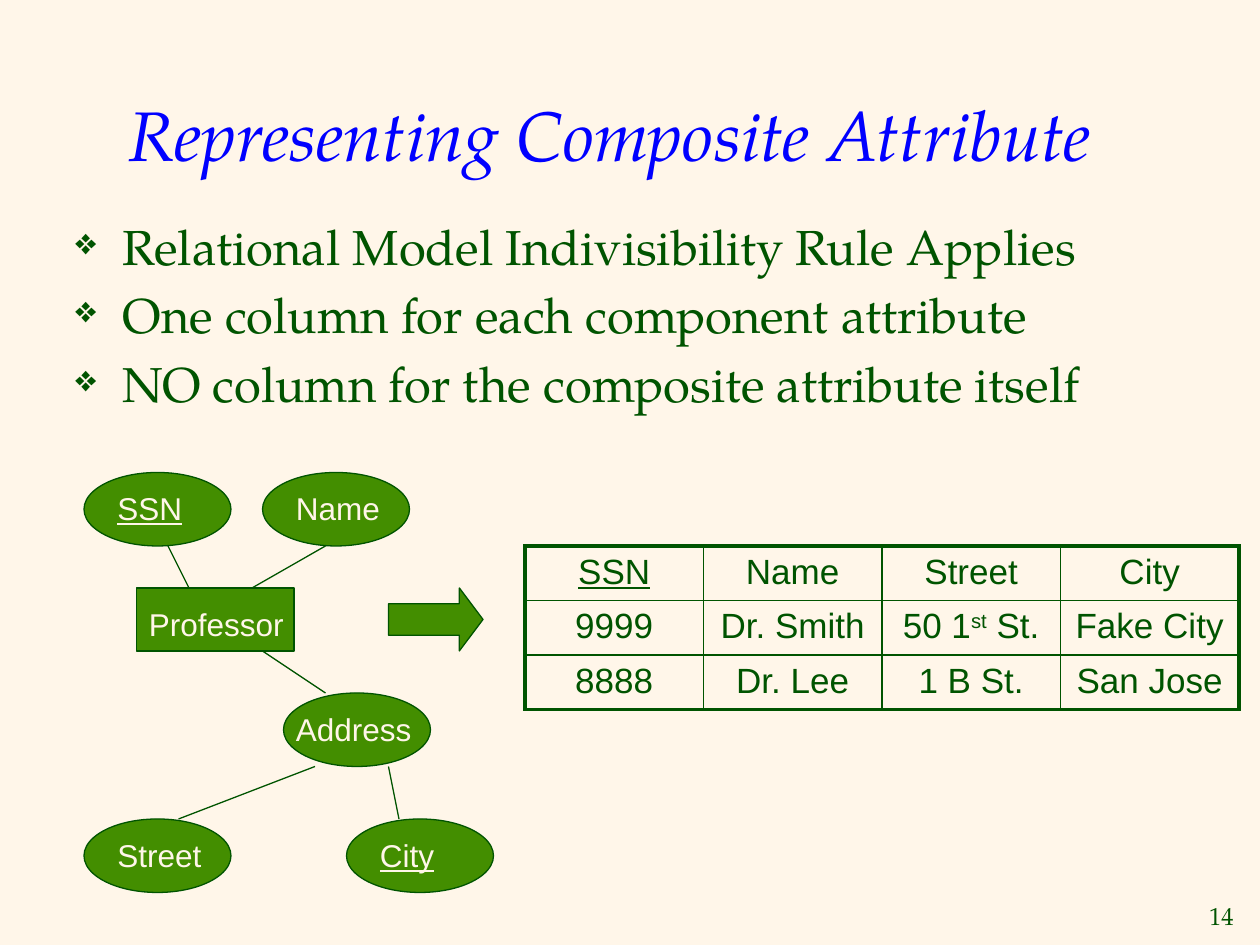
from dataclasses import dataclass

from lxml import etree
from pptx import Presentation
from pptx.dml.color import RGBColor
from pptx.enum.shapes import MSO_CONNECTOR, MSO_SHAPE
from pptx.enum.text import MSO_ANCHOR, MSO_AUTO_SIZE, PP_ALIGN
from pptx.oxml.ns import qn
from pptx.util import Pt

LEFT, CENTER, RIGHT = PP_ALIGN.LEFT, PP_ALIGN.CENTER, PP_ALIGN.RIGHT
TOP, MIDDLE = MSO_ANCHOR.TOP, MSO_ANCHOR.MIDDLE
NO_AUTOFIT = MSO_AUTO_SIZE.NONE
OVAL, RECTANGLE, RIGHT_ARROW = MSO_SHAPE.OVAL, MSO_SHAPE.RECTANGLE, MSO_SHAPE.RIGHT_ARROW
STRAIGHT = MSO_CONNECTOR.STRAIGHT
TITLE_ONLY = 5


@dataclass(frozen=True)
class Theme:
    cream: str = "FFF6E9"
    dark_green: str = "005400"
    green: str = "438E00"
    blue: str = "0000FF"
    serif: str = "TeX Gyre Pagella"
    sans: str = "Arial"
    title_size: int = 40
    body_size: int = 28
    table_size: int = 20
    label_size: int = 18
    number_size: int = 14
    line_width: float = 0.75
    inner_border: float = 1
    outer_border: float = 2.25


THEME = Theme()

BULLETS = [
    "Relational Model Indivisibility Rule Applies",
    "One column for each component attribute",
    "NO column for the composite attribute itself",
]
OVAL_SIZE = (84, 42)
ATTRIBUTES = [
    ("SSN", 48, 270, 12, True),
    ("Name", 150, 270, 12, False),
    ("Address", 162, 396, 0, False),
    ("Street", 48, 468, 12, False),
    ("City", 198, 468, 12, True),
]
LINKS = [
    (96, 312, 108, 336),
    (186, 312, 144, 336),
    (186, 396, 150, 372),
    (180, 438, 102, 468),
    (222, 438, 228, 468),
]
ROWS = [
    ["SSN", "Name", "Street", "City"],
    ["9999", "Dr. Smith", ("50 1", "st", " St."), "Fake City"],
    ["8888", "Dr. Lee", "1 B St.", "San Jose"],
]


def color(value):
    return RGBColor.from_string(value)


def points(*values):
    return [Pt(value) for value in values]


def add_bullet(paragraph):
    properties = paragraph._p.get_or_add_pPr()
    properties.set("marL", str(Pt(27)))
    properties.set("indent", str(Pt(-27)))
    bullet_color = etree.SubElement(properties, qn("a:buClr"))
    etree.SubElement(bullet_color, qn("a:srgbClr"), val=THEME.dark_green)
    etree.SubElement(properties, qn("a:buSzPct"), val="75000")
    etree.SubElement(properties, qn("a:buChar"), char="❖")


def write_text(frame, paragraphs, *, size, font=THEME.sans, ink=THEME.dark_green,
               align=LEFT, anchor=TOP, wrap=True, italic=False, underline=False,
               bullet=False, gap=0):
    frame.auto_size = NO_AUTOFIT
    frame.word_wrap = wrap
    frame.vertical_anchor = anchor
    for index, content in enumerate(paragraphs):
        paragraph = frame.add_paragraph() if index else frame.paragraphs[0]
        paragraph.alignment = align
        paragraph.space_before = Pt(gap if index else 0)
        if bullet:
            add_bullet(paragraph)
        pieces = (content,) if isinstance(content, str) else content
        for position, piece in enumerate(pieces):
            run = paragraph.add_run()
            run.text = piece
            run.font.name = font
            run.font.size = Pt(size)
            run.font.color.rgb = color(ink)
            run.font.italic = italic
            run.font.underline = underline
            if position % 2:
                run._r.get_or_add_rPr().set("baseline", "30000")


def add_text(slide, box, paragraphs, **text_format):
    shape = slide.shapes.add_textbox(*points(*box))
    write_text(shape.text_frame, paragraphs, **text_format)


def add_block(slide, kind, box):
    shape = slide.shapes.add_shape(kind, *points(*box))
    shape.shadow.inherit = False
    shape.fill.solid()
    shape.fill.fore_color.rgb = color(THEME.green)
    shape.line.color.rgb = color(THEME.dark_green)
    shape.line.width = Pt(THEME.line_width)
    return shape


def add_label(slide, box, text, underline=False):
    add_text(slide, box, [text], size=THEME.label_size, ink=THEME.cream, underline=underline)


def add_link(slide, ends):
    connector = slide.shapes.add_connector(STRAIGHT, *points(*ends))
    connector.line.color.rgb = color(THEME.dark_green)
    connector.line.width = Pt(THEME.line_width)
    etree.SubElement(connector._element.spPr, qn("a:effectLst"))


def set_borders(cell, outer_sides):
    properties = cell._tc.get_or_add_tcPr()
    for side in "LRTB":
        width = THEME.outer_border if side in outer_sides else THEME.inner_border
        line = etree.SubElement(properties, qn("a:ln" + side), w=str(Pt(width)))
        fill = etree.SubElement(line, qn("a:solidFill"))
        etree.SubElement(fill, qn("a:srgbClr"), val=THEME.dark_green)


def add_professor_table(slide):
    row_count, column_count = len(ROWS), len(ROWS[0])
    frame = slide.shapes.add_table(row_count, column_count, *points(300, 312, 408, 93.6))
    table = frame.table
    table.first_row = table.horz_banding = False
    for row, values in enumerate(ROWS):
        for column, value in enumerate(values):
            cell = table.cell(row, column)
            edges = {"L": column == 0, "R": column == column_count - 1,
                     "T": row == 0, "B": row == row_count - 1}
            set_borders(cell, [side for side, outer in edges.items() if outer])
            cell.fill.solid()
            cell.fill.fore_color.rgb = color(THEME.cream)
            write_text(cell.text_frame, [value], size=THEME.table_size, align=CENTER,
                       underline=value == "SSN")


def add_title(slide, text):
    title = slide.shapes.title
    title.left, title.top, title.width, title.height = points(66, 33, 612, 87)
    write_text(title.text_frame, [text], size=THEME.title_size, font=THEME.serif,
               ink=THEME.blue, anchor=MIDDLE, italic=True)


def add_diagram(slide):
    for ends in LINKS:
        add_link(slide, ends)
    add_block(slide, RECTANGLE, (78, 336, 90, 36))
    add_label(slide, (78, 342, 96, 29), "Professor")
    width, height = OVAL_SIZE
    for text, left, top, indent, is_key in ATTRIBUTES:
        add_block(slide, OVAL, (left, top, width, height))
        add_label(slide, (left + indent, top + 6, width - indent, 29), text, is_key)
    arrow = add_block(slide, RIGHT_ARROW, (222, 336, 54, 36))
    arrow.adjustments[0] = 0.5
    arrow.adjustments[1] = 0.375


def main():
    presentation = Presentation()
    presentation.slide_width, presentation.slide_height = points(720, 540)
    slide = presentation.slides.add_slide(presentation.slide_layouts[TITLE_ONLY])
    slide.background.fill.solid()
    slide.background.fill.fore_color.rgb = color(THEME.cream)
    add_title(slide, "Representing Composite Attribute")
    add_text(slide, (36, 120, 648, 138), BULLETS, size=THEME.body_size,
             font=THEME.serif, bullet=True, gap=5.6)
    add_diagram(slide)
    add_professor_table(slide)
    add_text(slide, (680.4, 511.2, 31.7, 24), ["14"], size=THEME.number_size,
             font=THEME.serif, align=RIGHT, anchor=MIDDLE, wrap=False)
    presentation.save("out.pptx")


if __name__ == "__main__":
    main()
